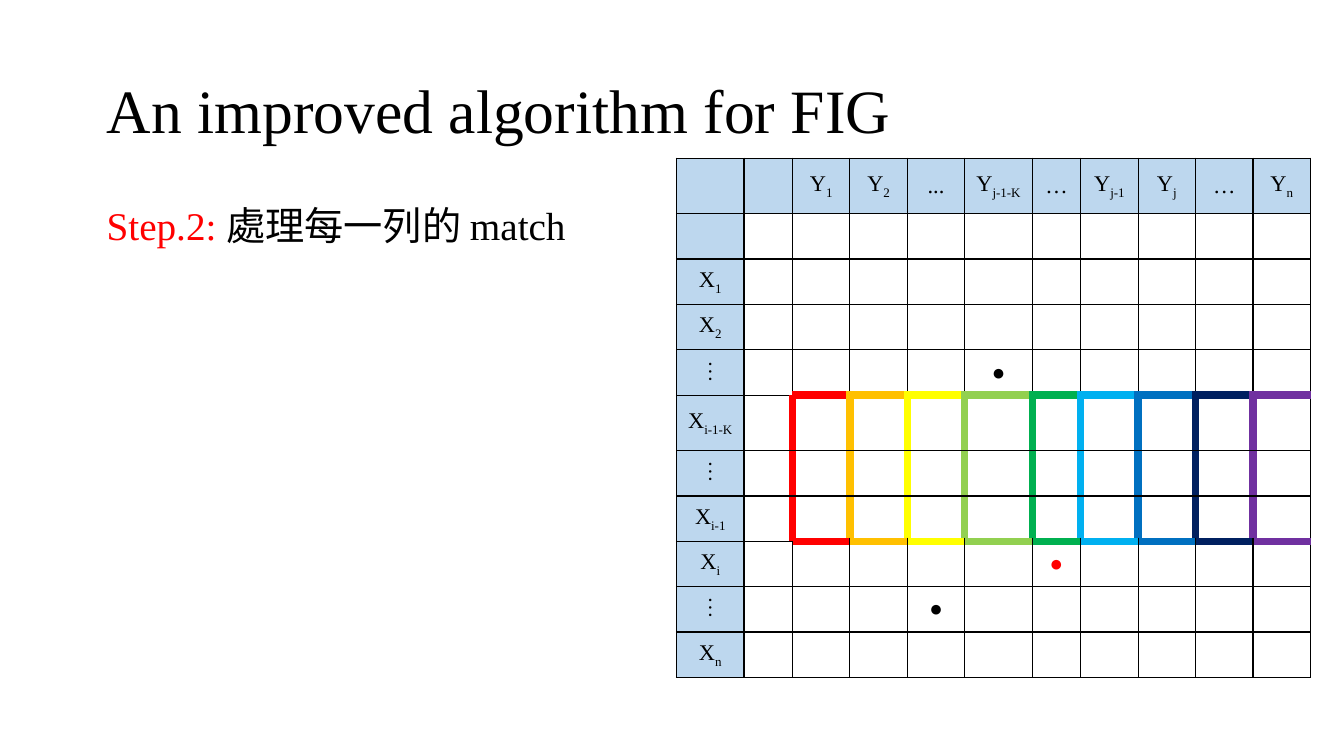
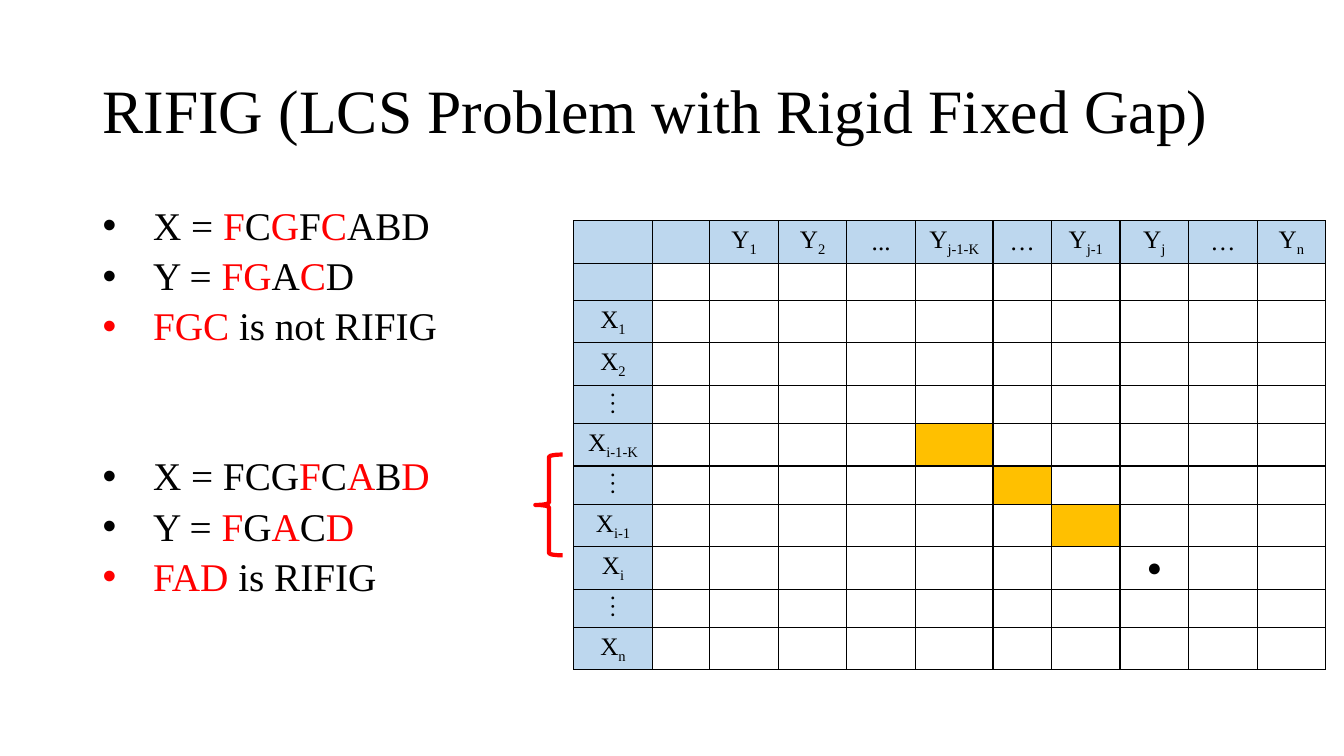
import pptx
import pptx.dml.color
import pptx.enum.shapes
import pptx.enum.text
import pptx.oxml
import pptx.oxml.ns
import pptx.util

Inches, Pt = pptx.util.Inches, pptx.util.Pt
Align, Anchor = pptx.enum.text.PP_ALIGN, pptx.enum.text.MSO_ANCHOR
rgb = pptx.dml.color.RGBColor.from_string

FONT = "Times New Roman"
COLORS = {"black": "000000", "red": "FF0000", "head": "BDD7EE", "gold": "FFC000",
          "yellow": "FFFF00", "lime": "92D050", "green": "00B050", "sky": "00B0F0",
          "blue": "0070C0", "navy": "002060", "purple": "7030A0"}
BANDS = ["red", "gold", "yellow", "lime", "green", "sky", "blue", "navy", "purple"]
TOPS = ["", "", "Y_1", "Y_2", "...", "Y_j-1-K", "…", "Y_j-1", "Y_j", "…", "Y_n"]
SIDES = ["", "", "X_1", "X_2", "⋮", "X_i-1-K", "⋮", "X_i-1", "X_i", "⋮", "X_n"]

PAGES = [
    {"title": "An improved algorithm for FIG", "left": 0.96,
     "lines": ["|Step.2: |處理每一列的 match"], "bullet": False,
     "at": (6.71, 1.57), "size": 16,
     "cols": [0.67, 0.48, 0.57, 0.57, 0.57, 0.67, 0.48, 0.57, 0.57, 0.57, 0.57],
     "rows": [0.55, 0.45, 0.45, 0.45, 0.45, 0.55, 0.45, 0.45, 0.45, 0.45, 0.45],
     "dots": {(4, 5): "●", (8, 6): "|●", (9, 4): "●"},
     "gold": [], "bands": dict(enumerate(BANDS, 2)), "brace": None},
    {"title": "RIFIG (LCS Problem with Rigid Fixed Gap)", "left": 0.92,
     "lines": ["X = |F|C|G|F|C|ABD", "Y = |FG|A|C|D", "|FGC |is not RIFIG",
               "X = FCG|F|C|A|B|D", "Y = |F|G|A|C|D", "|FAD |is RIFIG"], "bullet": True,
     "at": (5.69, 2.19), "size": 18,
     "cols": [0.78, 0.57, 0.68, 0.68, 0.68, 0.77, 0.58, 0.68, 0.68, 0.68, 0.68],
     "rows": [0.4, 0.37, 0.4, 0.4, 0.37, 0.4, 0.37, 0.4, 0.4, 0.37, 0.4],
     "dots": {(8, 8): "●"},
     "gold": [(5, 5), (6, 6), (7, 7)], "bands": {}, "brace": (5.31, 4.51, 0.27, 1)},
]


def write(para, text, size):
    """Add runs: | switches red on and off, _ switches subscript on and off."""
    for i, part in enumerate(text.split("|")):
        for k, piece in enumerate(part.split("_")):
            if not piece:
                continue
            run = para.add_run()
            run.text = piece
            for key, value in {"name": FONT, "size": Pt(size)}.items():
                setattr(run.font, key, value)
            run.font.color.rgb = rgb(COLORS["red" if i % 2 else "black"])
            if k % 2:
                run._r.get_or_add_rPr().set("baseline", "-25000")


def border(cell, side, band):
    """Draw one cell edge: thick in a band colour, thin black without one."""
    width = Pt(6 if band else 1)
    cell._tc.get_or_add_tcPr().append(pptx.oxml.parse_xml(
        f'<a:ln{side} {pptx.oxml.ns.nsdecls("a")} w="{width}"><a:solidFill>'
        f'<a:srgbClr val="{COLORS[band or "black"]}"/></a:solidFill></a:ln{side}>'))


deck = pptx.Presentation()
deck.slide_width, deck.slide_height = Inches(13.33), Inches(7.5)

for page in PAGES:
    slide = deck.slides.add_slide(deck.slide_layouts[6])

    # Title and body text
    boxes = [(0.4, 1.45, Anchor.MIDDLE, [page["title"]], 44, False),
             (2, 4.76, Anchor.TOP, page["lines"], 28, page["bullet"])]
    for top, height, anchor, lines, size, bullet in boxes:
        box = slide.shapes.add_textbox(Inches(page["left"]), Inches(top),
                                       Inches(11.5), Inches(height))
        frame = box.text_frame
        frame.word_wrap, frame.vertical_anchor = True, anchor
        for n, line in enumerate(lines):
            para = frame.paragraphs[0] if n == 0 else frame.add_paragraph()
            para.line_spacing = 0.9
            if n:
                para.space_before = Pt(77 if n == 3 else 5.6)
            if bullet:
                props = para._p.get_or_add_pPr()
                props.set("marL", str(Inches(0.5)))
                props.set("indent", str(Inches(-0.5)))
                for mark in ('buFont {} typeface="Arial"', 'buChar {} char="•"'):
                    props.append(pptx.oxml.parse_xml(
                        f'<a:{mark.format(pptx.oxml.ns.nsdecls("a"))}/>'))
            write(para, line, size)

    # Match table
    cols, rows, bands = page["cols"], page["rows"], page["bands"]
    left, top = page["at"]
    table = slide.shapes.add_table(len(rows), len(cols), Inches(left), Inches(top),
                                   Inches(sum(cols)), Inches(sum(rows))).table
    for col, width in zip(table.columns, cols):
        col.width = Inches(width)
    for row, height in zip(table.rows, rows):
        row.height = Inches(height)
    for r in range(len(rows)):
        for c in range(len(cols)):
            cell = table.cell(r, c)
            tall = r in (5, 6, 7)
            edges = {"L": (tall, c), "R": (tall, c + 1),
                     "T": (r in (5, 8), c), "B": (r in (4, 7), c)}
            for side, (thick, band) in edges.items():
                border(cell, side, bands.get(band) if thick else None)
            fill = "gold" if (r, c) in page["gold"] else None
            if r == 0 or c == 0:
                fill = "head"
            if fill:
                cell.fill.solid()
                cell.fill.fore_color.rgb = rgb(COLORS[fill])
            else:
                cell.fill.background()
            text = TOPS[c] if r == 0 else SIDES[r] if c == 0 else page["dots"].get((r, c), "")
            inset = Inches(0.04 if text else 0)
            for key, value in {"vertical_anchor": Anchor.MIDDLE, "margin_top": inset,
                               "margin_bottom": inset}.items():
                setattr(cell, key, value)
            para = cell.text_frame.paragraphs[0]
            para.alignment = Align.CENTER
            write(para, text, page["size"])

    if page["brace"]:
        brace = slide.shapes.add_shape(pptx.enum.shapes.MSO_SHAPE.LEFT_BRACE,
                                       *map(Inches, page["brace"]))
        brace.shadow.inherit = False
        brace.fill.background()
        brace.line.color.rgb = rgb(COLORS["red"])
        brace.line.width = Pt(3)

deck.save("out.pptx")
